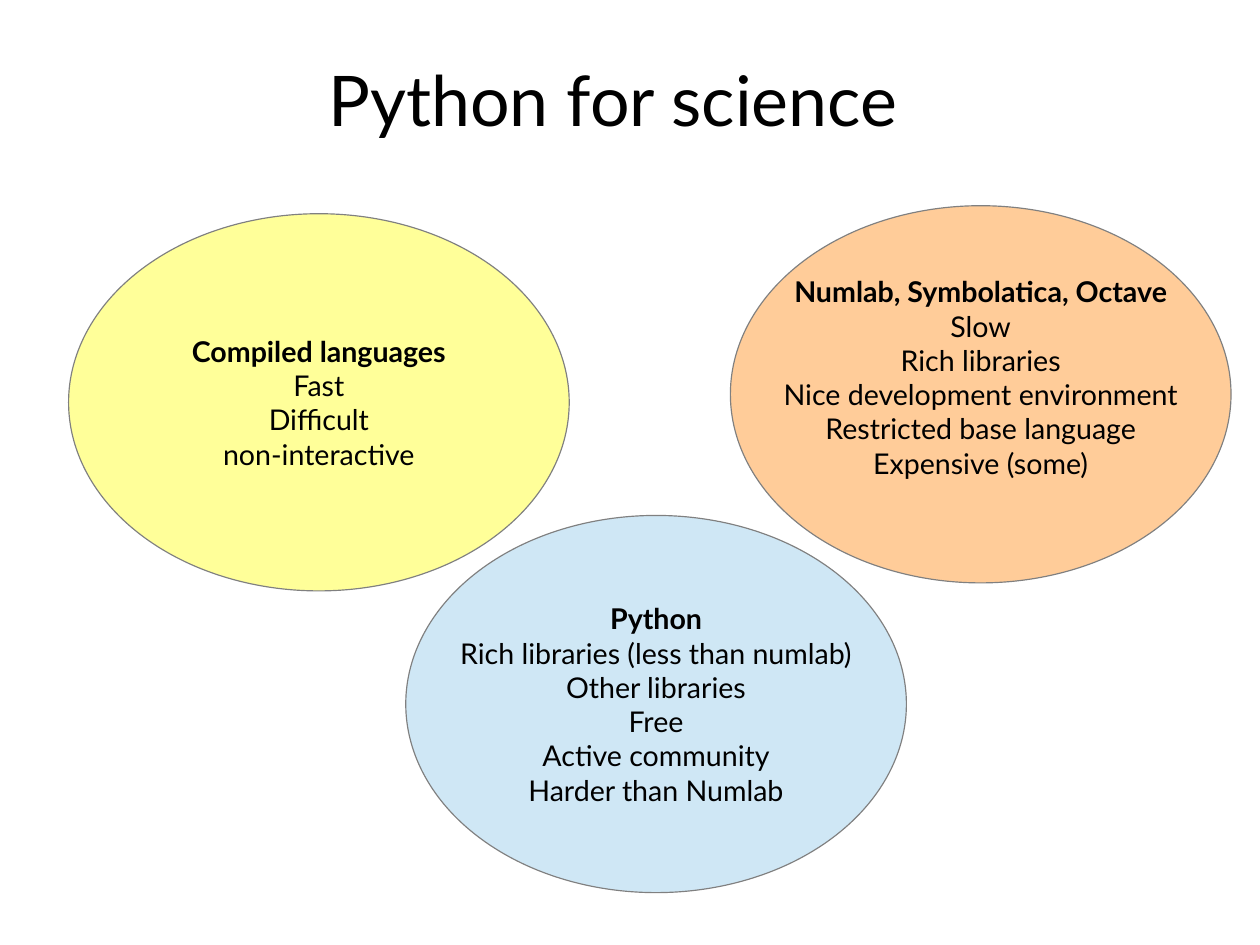
from pptx import Presentation
from pptx.dml.color import RGBColor
from pptx.enum.shapes import MSO_SHAPE as Kind
from pptx.enum.text import MSO_ANCHOR as Anchor, PP_ALIGN as Align
from pptx.util import Cm, Inches, Pt

WIDE, HIGH = Cm(28), Cm(21)
OVAL = (4.38, 3.3)
TITLE = ("Python for science", (0.53, 0.17, 9.67, 1.38))
GROUPS = [
    ("FFFF99", (0.6, 1.87), 0.05, "Compiled languages",
     ["Fast", "Difficult", "non-interactive"]),
    ("FFCC99", (6.39, 1.8), 0.35, "Numlab, Symbolatica, Octave",
     ["Slow", "Rich libraries", "Nice development environment",
      "Restricted base language", "Expensive (some)"]),
    ("CFE7F5", (3.55, 4.51), 0.05, "Python",
     ["Rich libraries (less than numlab)", "Other libraries", "Free",
      "Active community", "Harder than Numlab"]),
]


def color(code):
    """Turn a hex string into a colour."""
    return RGBColor.from_string(code)


def apply(item, values):
    """Set each named attribute of an item."""
    for name, value in values.items():
        setattr(item, name, value)


def write(frame, lines, size, pads, wrap, head=False):
    """Fill a frame with centred lines, the first one bold if it is a head."""
    left, top, right, low = map(Inches, pads)
    apply(frame, dict(margin_left=left, margin_top=top, margin_right=right,
                      margin_bottom=low, word_wrap=wrap,
                      vertical_anchor=Anchor.MIDDLE))
    for row, text in enumerate(lines):
        para = frame.add_paragraph() if row else frame.paragraphs[0]
        para.alignment = Align.CENTER
        run = para.add_run()
        run.text = text
        apply(run.font, dict(name="Lato", size=Pt(size),
                             bold=head and row == 0))
        run.font.color.rgb = color("000000")


def main():
    """Build the slide and save it."""
    deck = Presentation()
    deck.slide_width = WIDE
    deck.slide_height = HIGH
    shapes = deck.slides.add_slide(deck.slide_layouts[6]).shapes

    text, area = TITLE
    box = shapes.add_textbox(*map(Inches, area))
    write(box.text_frame, [text], 44, (0, 0, 0, 0), True)

    for fill, spot, low, head, facts in GROUPS:
        oval = shapes.add_shape(Kind.OVAL, *map(Inches, spot + OVAL))
        oval.shadow.inherit = False
        oval.fill.solid()
        oval.fill.fore_color.rgb = color(fill)
        oval.line.color.rgb = color("808080")
        oval.line.width = Pt(0)
        write(oval.text_frame, [head, *facts], 18,
              (0.1, 0.05, 0.1, low), False, True)

    deck.save("out.pptx")


if __name__ == "__main__":
    main()
